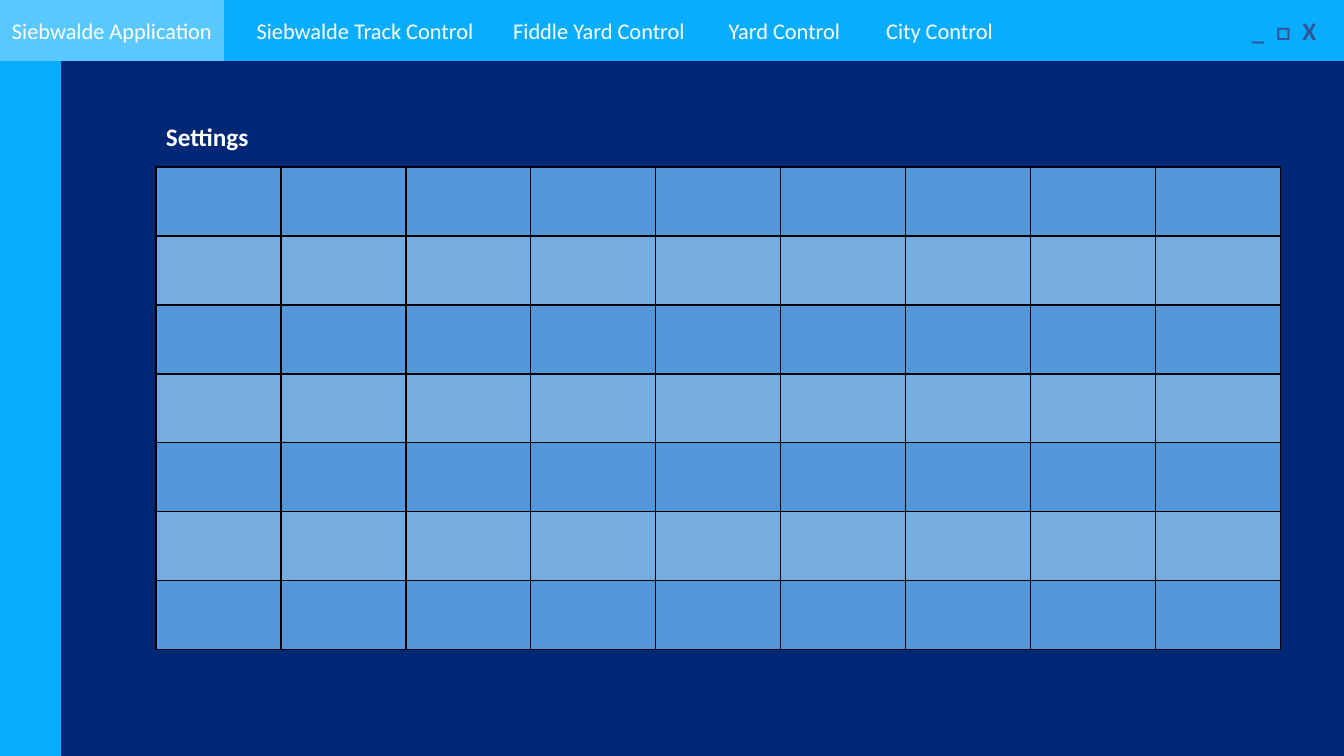
from lxml import etree
from pptx import Presentation
from pptx import util as u
from pptx.dml.color import RGBColor
from pptx.enum import shapes, text
from pptx.oxml import ns

PX = 914400 / 100.8
THEME = {
    "font": "Calibri",
    "background": "002776",
    "bar": "09ADFF",
    "active": "59C8FF",
    "white": "FFFFFF",
    "window": "2F5597",
    "rows": ("5398D9", "76ADE1"),
    "border": "000000",
    "tab_size": 16,
    "title_size": 18,
}


def place(*lengths):
    return [u.Emu(round(n * PX)) for n in lengths]


def write(sp, words, size, color, bold=False, centred=False):
    tf = sp.text_frame
    tf.word_wrap = True
    p = tf.paragraphs[0]
    if centred:
        tf.vertical_anchor = text.MSO_ANCHOR.MIDDLE
        p.alignment = text.PP_ALIGN.CENTER
    r = p.add_run()
    r.text = words
    style = {"name": THEME["font"], "size": u.Pt(size), "bold": bold}
    for name, value in style.items():
        setattr(r.font, name, value)
    r.font.color.rgb = RGBColor.from_string(THEME[color])


prs = Presentation()
prs.slide_width, prs.slide_height = place(1344, 756)
slide = prs.slides.add_slide(prs.slide_layouts[6])
slide.background.fill.solid()
slide.background.fill.fore_color.rgb = RGBColor.from_string(THEME["background"])

BAR = 61
panels = [
    (0, 0, 1344, BAR, "bar", ""),
    (0, BAR, BAR, 756 - BAR, "bar", ""),
    (0, 0, 224, BAR, "active", "Siebwalde Application"),
    (236, 0, 258, BAR, "bar", "Siebwalde Track Control"),
    (502, 0, 194, BAR, "bar", "Fiddle Yard Control"),
    (718, 0, 133, BAR, "bar", "Yard Control"),
    (873, 0, 133, BAR, "bar", "City Control"),
]
for x, y, w, h, fill, words in panels:
    sp = slide.shapes.add_shape(shapes.MSO_SHAPE.RECTANGLE, *place(x, y, w, h))
    sp.shadow.inherit = False
    sp.fill.solid()
    sp.fill.fore_color.rgb = RGBColor.from_string(THEME[fill])
    sp.line.fill.background()
    if words:
        write(sp, words, THEME["tab_size"], "white", centred=True)

labels = [
    (1242, 10, 102, 40, "_  □  X", "window"),
    (156, 116, 110, 40, "Settings", "white"),
]
for x, y, w, h, words, color in labels:
    sp = slide.shapes.add_textbox(*place(x, y, w, h))
    write(sp, words, THEME["title_size"], color, bold=True)

ROWS, COLS = 7, 9
COL_W, ROW_H = 125, 69
frame = slide.shapes.add_table(ROWS, COLS, *place(156, 167, COLS * COL_W, ROWS * ROW_H))
settings = frame.table
for flag in ("first_row", "horz_banding"):
    setattr(settings, flag, False)
for col in settings.columns:
    col.width = place(COL_W)[0]
for i, row in enumerate(settings.rows):
    row.height = place(ROW_H)[0]
    for cell in row.cells:
        tcPr = cell._tc.get_or_add_tcPr()
        for side in ("lnL", "lnR", "lnT", "lnB"):
            ln = etree.SubElement(tcPr, ns.qn(f"a:{side}"), w=str(u.Pt(1)))
            fill = etree.SubElement(ln, ns.qn("a:solidFill"))
            etree.SubElement(fill, ns.qn("a:srgbClr"), val=THEME["border"])
        cell.fill.solid()
        cell.fill.fore_color.rgb = RGBColor.from_string(THEME["rows"][i % 2])

prs.save("out.pptx")
